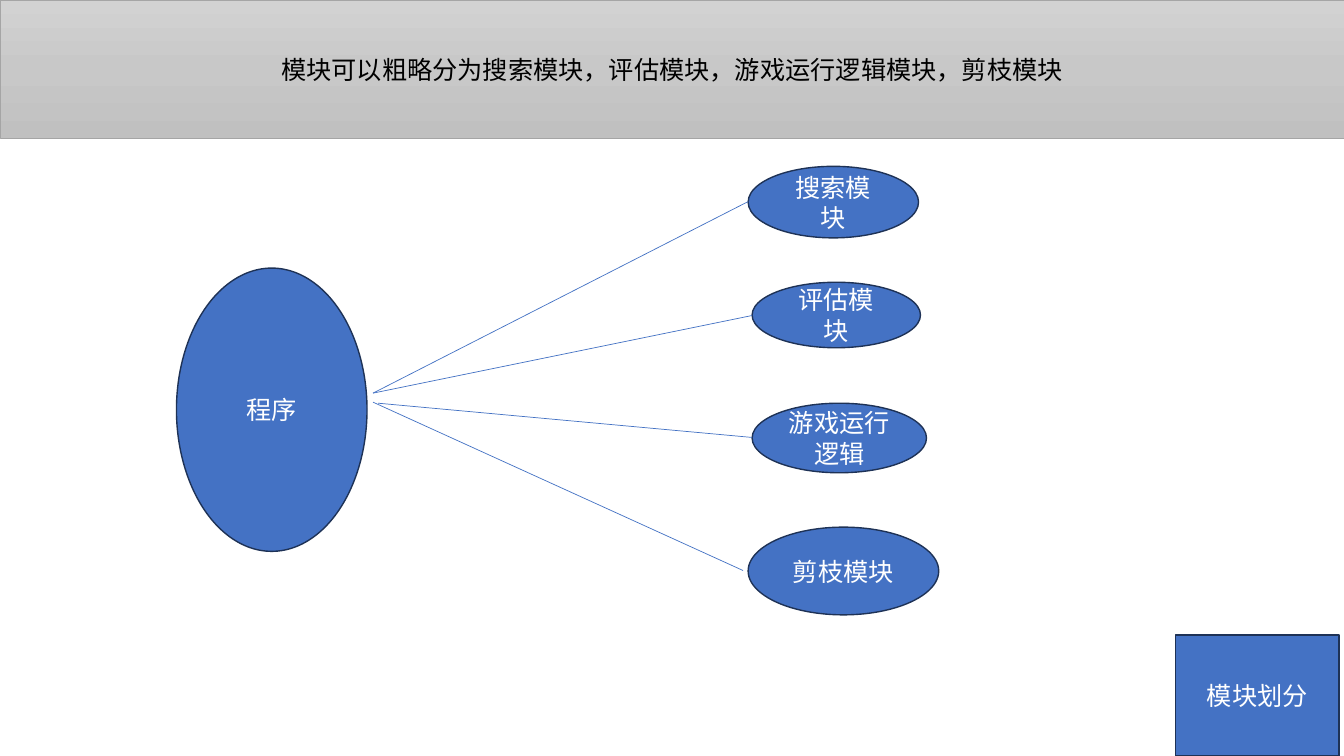
from copy import deepcopy
from dataclasses import dataclass

from lxml import etree
from pptx import Presentation
from pptx import util as u
from pptx.dml.color import RGBColor
from pptx.enum import shapes, text
from pptx.oxml import ns

BLUE = RGBColor(0x44, 0x72, 0xC4)
NAVY = RGBColor(0x1E, 0x32, 0x56)
GREY = RGBColor(0xA5, 0xA5, 0xA5)
BLACK = RGBColor(0, 0, 0)
WHITE = RGBColor(0xFF, 0xFF, 0xFF)
BANNER_SHADES = (
    RGBColor(0xD2, 0xD2, 0xD2),
    RGBColor(0xC8, 0xC8, 0xC8),
    RGBColor(0xC0, 0xC0, 0xC0),
)
FONT_NAME = "Noto Sans CJK SC"
FONT_FORMAT = {"name": FONT_NAME, "size": u.Pt(18)}
FRAME_FORMAT = {"word_wrap": True, "vertical_anchor": text.MSO_ANCHOR.MIDDLE}
OVAL = shapes.MSO_SHAPE.OVAL
RECTANGLE = shapes.MSO_SHAPE.RECTANGLE


@dataclass(frozen=True)
class Block:
    label: str
    left: float
    top: float
    width: float
    height: float
    outline: shapes.MSO_SHAPE = OVAL
    text_color: RGBColor = WHITE
    line_color: RGBColor = NAVY
    line_width: float = 1


@dataclass(frozen=True)
class Link:
    start: tuple[float, float]
    end: tuple[float, float]


BANNER = Block("模块可以粗略分为搜索模块，评估模块，游戏运行逻辑模块，剪枝模块",
               0, 0, 13.33, 1.37, RECTANGLE, BLACK, GREY, 0.5)
BLOCKS = (
    Block("搜索模块", 7.42, 1.65, 1.69, 0.71),
    Block("评估模块", 7.46, 2.8, 1.67, 0.65),
    Block("游戏运行逻辑", 7.46, 4, 1.73, 0.69),
    Block("剪枝模块", 7.42, 5.23, 1.89, 0.87),
    Block("程序", 1.75, 2.66, 1.89, 2.81),
    Block("模块划分", 11.66, 6.3, 1.62, 1.2, RECTANGLE),
)
LINKS = (
    Link((3.7, 3.9), (7.42, 2)),
    Link((3.7, 3.9), (7.46, 3.13)),
    Link((3.75, 4), (7.46, 4.34)),
    Link((3.7, 3.99), (7.37, 5.66)),
)


def apply_format(target, values: dict) -> None:
    for name, value in values.items():
        setattr(target, name, value)


def draw_block(slide, block: Block):
    shape = slide.shapes.add_shape(
        block.outline, u.Inches(block.left), u.Inches(block.top),
        u.Inches(block.width), u.Inches(block.height))
    shape.shadow.inherit = False
    shape.fill.solid()
    shape.fill.fore_color.rgb = BLUE
    shape.line.color.rgb = block.line_color
    shape.line.width = u.Pt(block.line_width)
    apply_format(shape.text_frame, FRAME_FORMAT)
    paragraph = shape.text_frame.paragraphs[0]
    paragraph.alignment = text.PP_ALIGN.CENTER
    run = paragraph.add_run()
    run.text = block.label
    apply_format(run.font, FONT_FORMAT)
    run.font.color.rgb = block.text_color
    east_asian = etree.SubElement(run._r.get_or_add_rPr(), ns.qn("a:ea"))
    east_asian.set("typeface", FONT_NAME)
    return shape


def shade_banner(banner) -> None:
    banner.fill.gradient()
    banner.fill.gradient_angle = 270
    stops = banner._element.spPr.find(f".//{ns.qn('a:gsLst')}")
    stops.insert(1, deepcopy(stops[0]))
    last = len(BANNER_SHADES) - 1
    for index, stop in enumerate(banner.fill.gradient_stops):
        stop.color.rgb = BANNER_SHADES[index]
        stop.position = index / last


def draw_link(slide, link: Link) -> None:
    connector = slide.shapes.add_connector(
        shapes.MSO_CONNECTOR.STRAIGHT,
        *(u.Inches(value) for value in link.start + link.end))
    connector.line.color.rgb = BLUE
    connector.line.width = u.Pt(0.5)
    etree.SubElement(connector._element.spPr, ns.qn("a:effectLst"))


def main() -> None:
    presentation = Presentation()
    presentation.slide_width = u.Inches(13.33)
    presentation.slide_height = u.Inches(7.5)
    slide = presentation.slides.add_slide(presentation.slide_layouts[6])
    shade_banner(draw_block(slide, BANNER))
    for block in BLOCKS:
        draw_block(slide, block)
    for link in LINKS:
        draw_link(slide, link)
    presentation.save("out.pptx")


if __name__ == "__main__":
    main()
